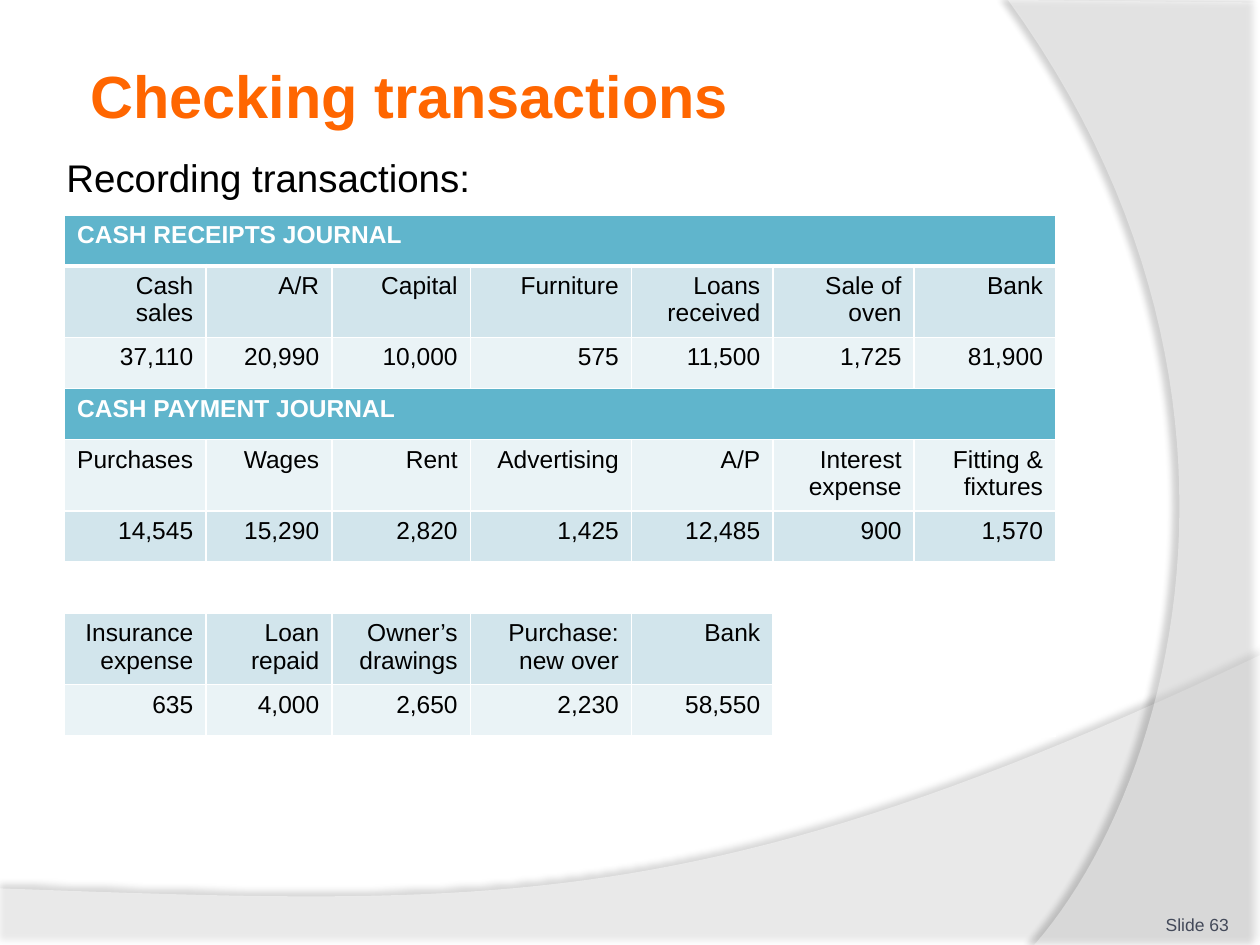
from dataclasses import dataclass

from lxml import etree
from pptx import Presentation
from pptx import util as u
from pptx.dml.color import RGBColor
from pptx.enum import text
from pptx.oxml import ns
from pptx.util import Cm


@dataclass(frozen=True)
class Theme:
    font: str = "Arial"
    title: str = "FF6600"
    ink: str = "000000"
    white: str = "FFFFFF"
    footer: str = "434959"
    header: str = "60B5CC"
    dark_band: str = "D2E5EC"
    light_band: str = "EAF3F6"
    title_size: int = 34
    body_size: int = 22
    table_size: int = 14
    footer_size: int = 10


theme = Theme()


def style(paragraph, size, color, bold=False):
    for run in paragraph.runs:
        run.font.name = theme.font
        run.font.size = u.Pt(size)
        run.font.bold = bold
        run.font.color.rgb = RGBColor.from_string(color)


def bezier(start, control_1, control_2, end, steps=48):
    """Return points along a cubic curve, both ends included."""
    points = []
    for step in range(steps + 1):
        t = step / steps
        weights = ((1 - t) ** 3, 3 * t * (1 - t) ** 2, 3 * t * t * (1 - t), t ** 3)
        corners = (start, control_1, control_2, end)
        points.append(tuple(sum(w * c[axis] for w, c in zip(weights, corners)) for axis in (0, 1)))
    return points


presentation = Presentation()
presentation.slide_width, presentation.slide_height = Cm(25.4), Cm(19.05)
slide = presentation.slides.add_slide(presentation.slide_layouts[6])

# Translucent background sweeps: outline, fill opacity, then shadow opacity, blur, distance, angle
bottom_sweep = [(0, 19.05), (25.4, 19.05)] + bezier((25.4, 13.21), (14.2, 18.52), (9.93, 18.26), (0, 17.91))
right_sweep = [(25.4, 0.05), (25.4, 19.05)] + bezier((20.85, 19.05), (23.75, 15.72), (25.86, 7.62), (20.32, 0))
sweeps = [
    (bottom_sweep, 45, 35, 4, 3.5, 270),
    (right_sweep, 40, 45, 4, 4, 180),
]
for outline, opacity, shadow_opacity, blur, distance, angle in sweeps:
    points = [(Cm(x), Cm(y)) for x, y in outline]
    builder = slide.shapes.build_freeform(*points[0])
    builder.add_line_segments(points[1:], close=True)
    shape = builder.convert_to_shape()
    shape.fill.solid()
    shape.fill.fore_color.rgb = RGBColor.from_string(theme.white)
    shape.line.fill.background()
    shape.shadow.inherit = False
    properties = shape._element.spPr
    fill_color = properties.find(ns.qn("a:solidFill"))[0]
    etree.SubElement(fill_color, ns.qn("a:alpha"), val=str(opacity * 1000))
    shadow = etree.SubElement(
        properties.find(ns.qn("a:effectLst")), ns.qn("a:outerShdw"),
        blurRad=str(u.Pt(blur)), dist=str(u.Pt(distance)), dir=str(angle * 60000),
        algn="ctr", rotWithShape="0")
    shadow_color = etree.SubElement(shadow, ns.qn("a:srgbClr"), val=theme.ink)
    etree.SubElement(shadow_color, ns.qn("a:alpha"), val=str(shadow_opacity * 1000))

# Title, lead-in and slide number
LEFT, RIGHT = text.PP_ALIGN.LEFT, text.PP_ALIGN.RIGHT
TOP, MIDDLE, BOTTOM = text.MSO_ANCHOR.TOP, text.MSO_ANCHOR.MIDDLE, text.MSO_ANCHOR.BOTTOM
labels = [
    ("Checking transactions", (1.7, 0.91, 20.75, 2.01), (0.13, 0.13), MIDDLE, LEFT,
     theme.title_size, theme.title, True),
    ("Recording transactions:", (1.09, 2.97, 20.75, 1.3), (0.25, 0.13), TOP, LEFT,
     theme.body_size, theme.ink, False),
    ("Slide 63", (22.66, 17.83, 2.11, 1.02), (0, 0), BOTTOM, RIGHT,
     theme.footer_size, theme.footer, False),
]
for wording, place, (inset_x, inset_y), anchor, alignment, size, color, bold in labels:
    frame = slide.shapes.add_textbox(*map(Cm, place)).text_frame
    frame.word_wrap = True
    frame.vertical_anchor = anchor
    frame.margin_left = frame.margin_right = Cm(inset_x)
    frame.margin_top = frame.margin_bottom = Cm(inset_y)
    frame.text = wording
    frame.paragraphs[0].alignment = alignment
    style(frame.paragraphs[0], size, color, bold)

# Journals: each row has its fill and its entries; a lone entry spans the table
journal_rows = [
    (theme.header, ["CASH RECEIPTS JOURNAL"]),
    (theme.dark_band, ["Cash sales", "A/R", "Capital", "Furniture", "Loans received", "Sale of oven", "Bank"]),
    (theme.light_band, ["37,110", "20,990", "10,000", "575", "11,500", "1,725", "81,900"]),
    (theme.header, ["CASH PAYMENT JOURNAL"]),
    (theme.light_band, ["Purchases", "Wages", "Rent", "Advertising", "A/P", "Interest expense", "Fitting & fixtures"]),
    (theme.dark_band, ["14,545", "15,290", "2,820", "1,425", "12,485", "900", "1,570"]),
    (theme.white, []),
    (theme.dark_band, ["Insurance expense", "Loan repaid", "Owner’s drawings", "Purchase: new over", "Bank"]),
    (theme.light_band, ["635", "4,000", "2,650", "2,230", "58,550"]),
]
column_widths = [2.85, 2.54, 2.79, 3.25, 2.85, 2.85, 2.85]
row_height = 1.03
table = slide.shapes.add_table(
    len(journal_rows), len(column_widths), Cm(1.3), Cm(4.33),
    Cm(sum(column_widths)), Cm(row_height * len(journal_rows))).table
for column, width in zip(table.columns, column_widths):
    column.width = Cm(width)

for row_index, (row_fill, entries) in enumerate(journal_rows):
    table.rows[row_index].height = Cm(row_height)
    is_header = row_fill == theme.header
    if is_header:
        table.cell(row_index, 0).merge(table.cell(row_index, len(column_widths) - 1))
    for column_index in range(len(column_widths)):
        cell = table.cell(row_index, column_index)
        has_entry = column_index < len(entries)
        if has_entry:
            cell.text_frame.text = entries[column_index]
            paragraph = cell.text_frame.paragraphs[0]
            paragraph.alignment = LEFT if is_header else RIGHT
            style(paragraph, theme.table_size, theme.white if is_header else theme.ink, is_header)
        cell_properties = cell._tc.get_or_add_tcPr()
        for side in ("lnL", "lnR", "lnT", "lnB"):
            under_heading = (row_index, side) in ((0, "lnB"), (1, "lnT"))
            border = etree.SubElement(
                cell_properties, ns.qn(f"a:{side}"), w=str(u.Pt(3 if under_heading else 1)))
            border_fill = etree.SubElement(border, ns.qn("a:solidFill"))
            etree.SubElement(border_fill, ns.qn("a:srgbClr"), val=theme.white)
        cell.fill.solid()
        cell.fill.fore_color.rgb = RGBColor.from_string(
            row_fill if has_entry or is_header else theme.white)

presentation.save("out.pptx")
